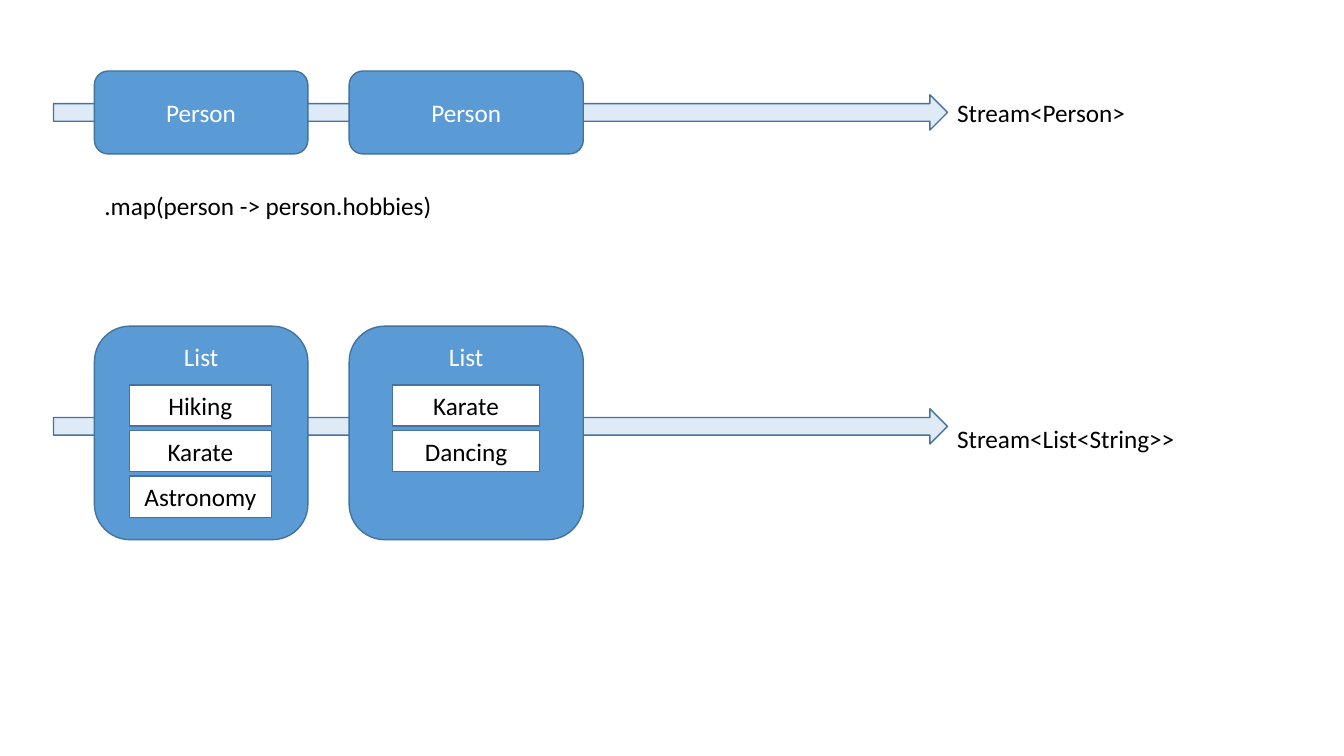
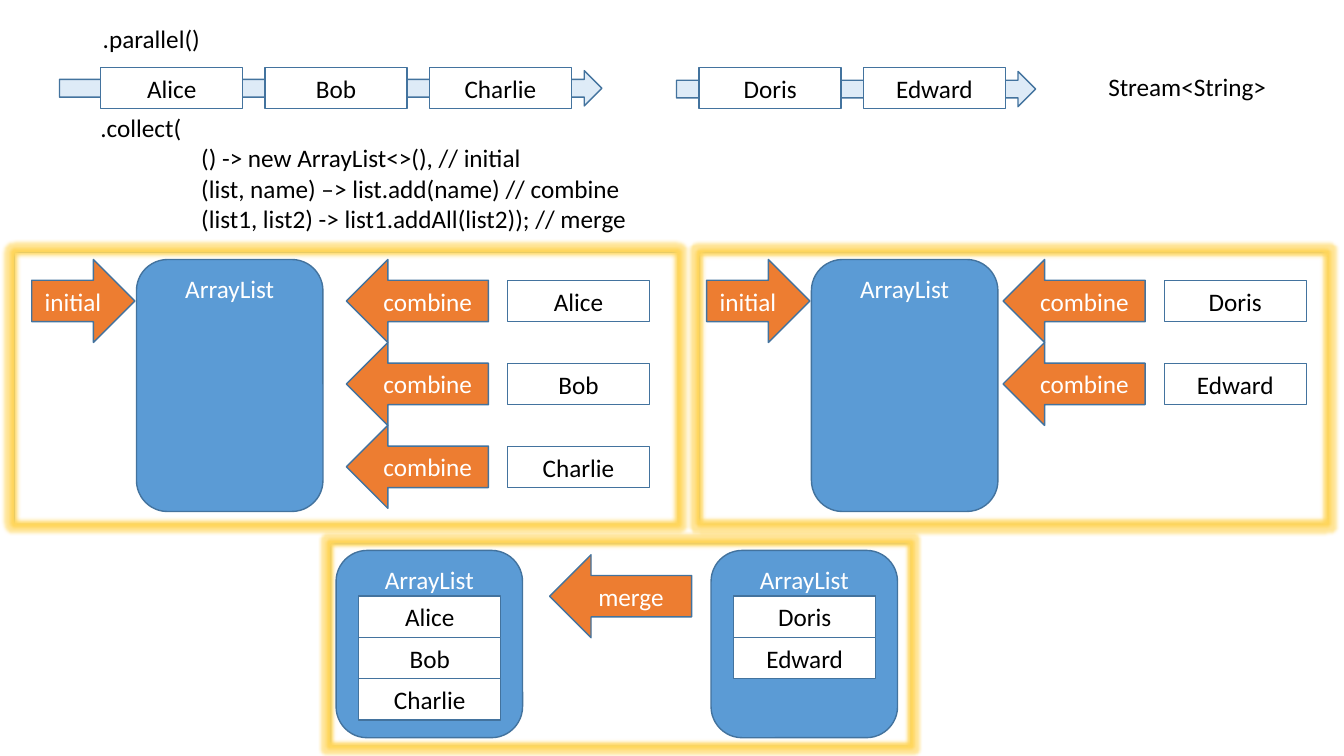
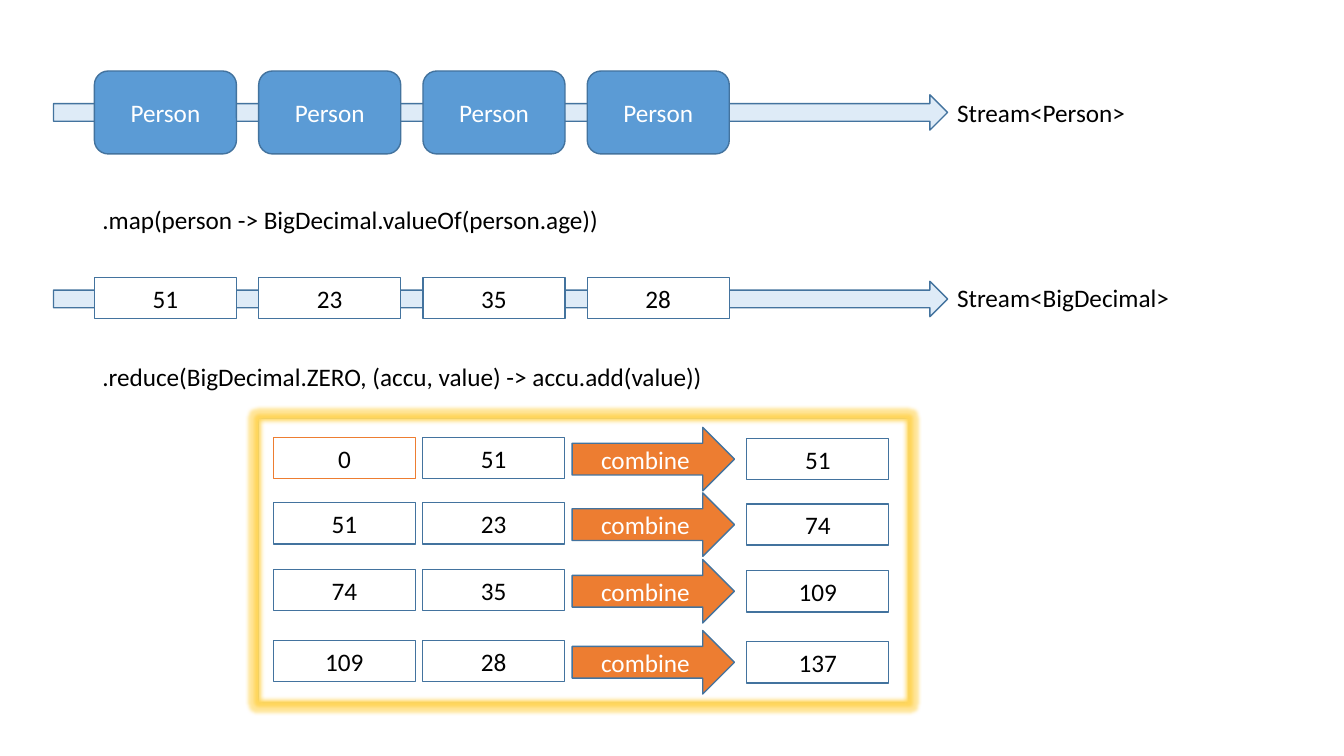
from dataclasses import dataclass
from lxml.etree import SubElement as Sub
from pptx import Presentation
from pptx.dml.color import RGBColor as RGB
from pptx.enum.shapes import MSO_SHAPE as Kind
from pptx.enum.text import MSO_ANCHOR as Anchor, MSO_AUTO_SIZE as Auto, PP_ALIGN as Align
from pptx.oxml.ns import qn
from pptx.util import Cm, Pt


@dataclass(frozen=True)
class Theme:
    font: str = "Calibri"
    size: int = 18
    edge: str = "43739E"
    blue: str = "5B9BD5"
    pale: str = "DEEBF7"
    warm: str = "ED7D31"
    gold: str = "FFC000"
    white: str = "FFFFFF"
    black: str = "000000"


look = Theme()
box, card = Kind.RECTANGLE, Kind.ROUNDED_RECTANGLE
right, left = Kind.RIGHT_ARROW, Kind.LEFT_ARROW
tile_w, tile_h = 3.58, 1.04
big_h, flow_h = 2.09, 0.89


def write(frame, lines, ink, align):
    frame.word_wrap = True
    for i, line in enumerate(lines):
        para = frame.paragraphs[0] if i == 0 else frame.add_paragraph()
        para.alignment = align
        if "\t" in line:
            tabs = Sub(para._p.get_or_add_pPr(), qn("a:tabLst"))
            Sub(tabs, qn("a:tab"), pos=str(Cm(2.54)), algn="l")
        for j, part in enumerate(line.split("\n")):
            if j:
                para.add_line_break()
            run = para.add_run()
            run.text = part
            run.font.name = look.font
            run.font.size = Pt(look.size)
            run.font.color.rgb = RGB.from_string(ink)


def draw(page, kind, x, y, w, h, fill, text="", edge=look.edge, anchor=Anchor.MIDDLE):
    shape = page.shapes.add_shape(kind, Cm(x), Cm(y), Cm(w), Cm(h))
    shape.shadow.inherit = False
    shape.fill.solid()
    shape.fill.fore_color.rgb = RGB.from_string(fill)
    shape.line.color.rgb = RGB.from_string(edge)
    shape.line.width = Pt(1)
    if text:
        ink = look.black if fill == look.white else look.white
        shape.text_frame.vertical_anchor = anchor
        write(shape.text_frame, [text], ink, Align.CENTER)
    return shape


deck = Presentation()
deck.slide_width, deck.slide_height = Cm(33.87), Cm(19.05)
flat, fold, sums = [deck.slides.add_slide(deck.slide_layouts[6]) for _ in range(3)]

for page, x, y, w, h in [
    (fold, 8.31, 13.69, 14.61, 5.08),
    (fold, 17.63, 6.35, 15.8, 6.83),
    (fold, 0.36, 6.35, 16.69, 6.83),
    (sums, 6.5, 10.54, 16.38, 7.14),
]:
    frame = draw(page, box, x, y, w, h, look.white)
    fx = frame._element.spPr.find(qn("a:effectLst"))
    glow = Sub(fx, qn("a:glow"), rad=str(Pt(5)))
    tint = Sub(glow, qn("a:srgbClr"), val=look.gold)
    Sub(tint, qn("a:alpha"), val="40000")
    Sub(fx, qn("a:softEdge"), rad=str(Pt(2.5)))

for page, x, y, w in [
    (flat, 1.35, 2.39, 22.53),
    (flat, 1.35, 10.3, 22.53),
    (fold, 1.5, 1.78, 13.67),
    (fold, 17.05, 1.8, 9.05),
    (sums, 1.35, 2.39, 22.53),
    (sums, 1.35, 7.09, 22.53),
]:
    draw(page, right, x, y, w, flow_h, look.pale)

for page, x, y, w, h, lines in [
    (flat, 2.38, 4.67, 23.14, 1.02, [".map(person -> person.hobbies)"]),
    (flat, 23.87, 2.32, 5.94, 1.02, ["Stream<Person>"]),
    (flat, 23.87, 10.54, 7.77, 1.02, ["Stream<List<String>>"]),
    (fold, 2.34, 0.46, 23.14, 1.02, [".parallel()"]),
    (fold, 27.68, 1.68, 5.94, 1.02, ["Stream<String>"]),
    (fold, 2.28, 2.71, 23.14, 3.33, [
        ".collect(\n\t() -> new ArrayList<>(), // initial",
        "\t(list, name) –> list.add(name) // combine",
        "\t(list1, list2) -> list1.addAll(list2)); // merge",
    ]),
    (sums, 2.33, 5.03, 23.14, 1.02, [".map(person -> BigDecimal.valueOf(person.age))"]),
    (sums, 23.87, 2.32, 5.94, 1.02, ["Stream<Person>"]),
    (sums, 23.87, 6.99, 5.94, 1.02, ["Stream<BigDecimal>"]),
    (sums, 2.33, 8.97, 23.14, 1.02,
     [".reduce(BigDecimal.ZERO, (accu, value) -> accu.add(value))"]),
]:
    note = page.shapes.add_textbox(Cm(x), Cm(y), Cm(w), Cm(h)).text_frame
    write(note, lines, look.black, Align.LEFT)
    note.auto_size = Auto.SHAPE_TO_FIT_TEXT

for x, w, inner, wide, names in [
    (2.38, 5.38, 3.26, 3.58, ["Hiking", "Karate", "Astronomy"]),
    (8.8, 5.9, 9.89, 3.71, ["Karate", "Dancing"]),
]:
    draw(flat, card, x, 1.79, w, big_h, look.blue, "Person")
    draw(flat, card, x, 8.22, w, 5.38, look.blue, "List", anchor=Anchor.TOP)
    for i, name in enumerate(names):
        draw(flat, box, inner, 9.7 + 1.15 * i, wide, tile_h, look.white, name)

for flow, start, pull, end, names in [
    (2.54, 0.8, 8.73, 8.47, ["Alice", "Bob", "Charlie"]),
    (17.62, 17.81, 25.28, 17.92, ["Doris", "Edward"]),
]:
    draw(fold, right, start, 6.54, 2.6, big_h, look.warm, "initial")
    for x, y, h in [(start + 2.64, 6.54, 6.35), (end, 13.87, 4.72)]:
        draw(fold, card, x, y, 4.7, h, look.blue, "ArrayList", anchor=Anchor.TOP)
    for i, name in enumerate(names):
        drop = 2.09 * i
        draw(fold, left, pull, 6.54 + drop, tile_w, big_h, look.warm, "combine")
        for x, y in [
            (flow + 4.14 * i, 1.7),
            (pull + 4.06, 7.07 + drop),
            (end + 0.57, 15.02 + tile_h * i),
        ]:
            draw(fold, box, x, y, tile_w, tile_h, look.white, name)
draw(fold, left, 13.85, 13.98, tile_w, big_h, look.warm, "merge")

total = 0
for i, (age, y) in enumerate(zip([51, 23, 35, 28], [11.02, 12.67, 14.35, 16.14])):
    x = 2.38 + 4.14 * i
    draw(sums, card, x, 1.79, tile_w, big_h, look.blue, "Person")
    draw(sums, box, x, 6.99, tile_w, tile_h, look.white, str(age))
    edge = look.edge if i else look.warm
    draw(sums, box, 6.89, y, tile_w, tile_h, look.white, str(total), edge)
    draw(sums, box, 10.65, y, tile_w, tile_h, look.white, str(age))
    draw(sums, right, 14.42, y - 0.25, 4.09, 1.6, look.warm, "combine")
    total += age
    draw(sums, box, 18.82, y + 0.03, tile_w, tile_h, look.white, str(total))

deck.save("out.pptx")
